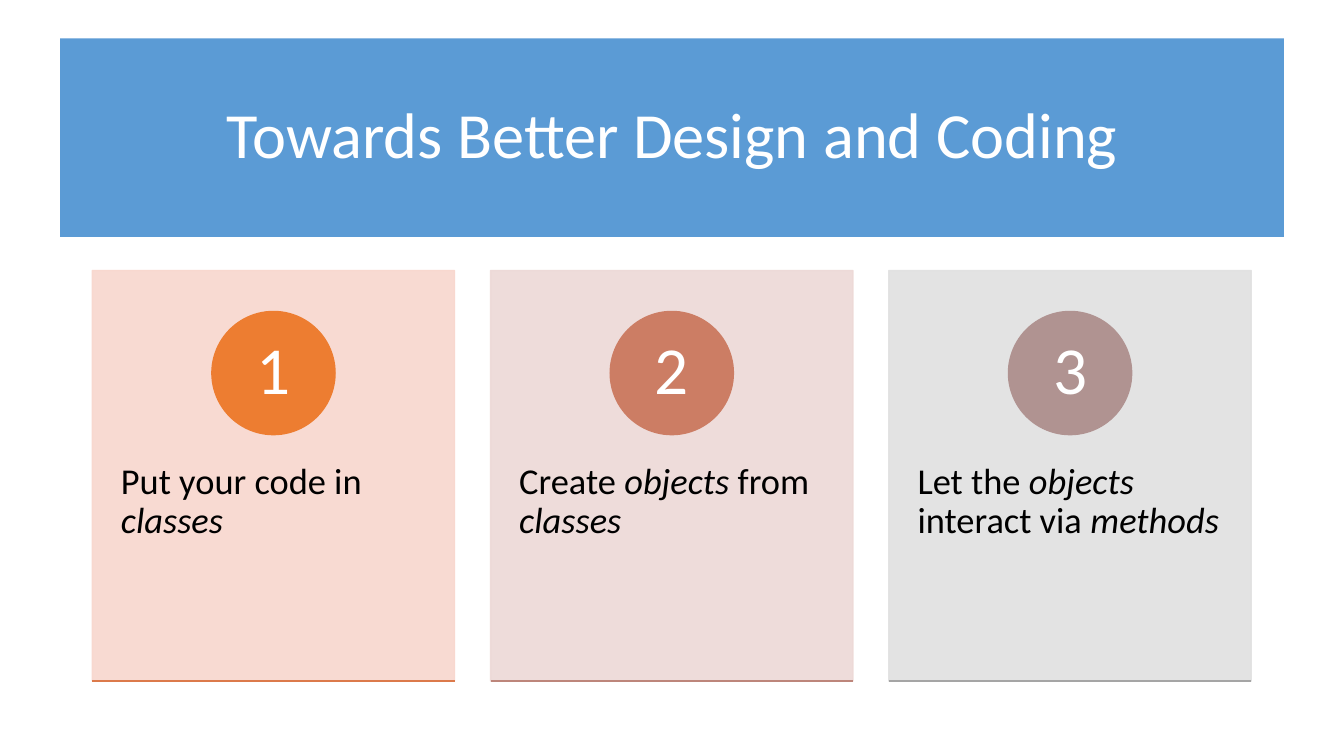
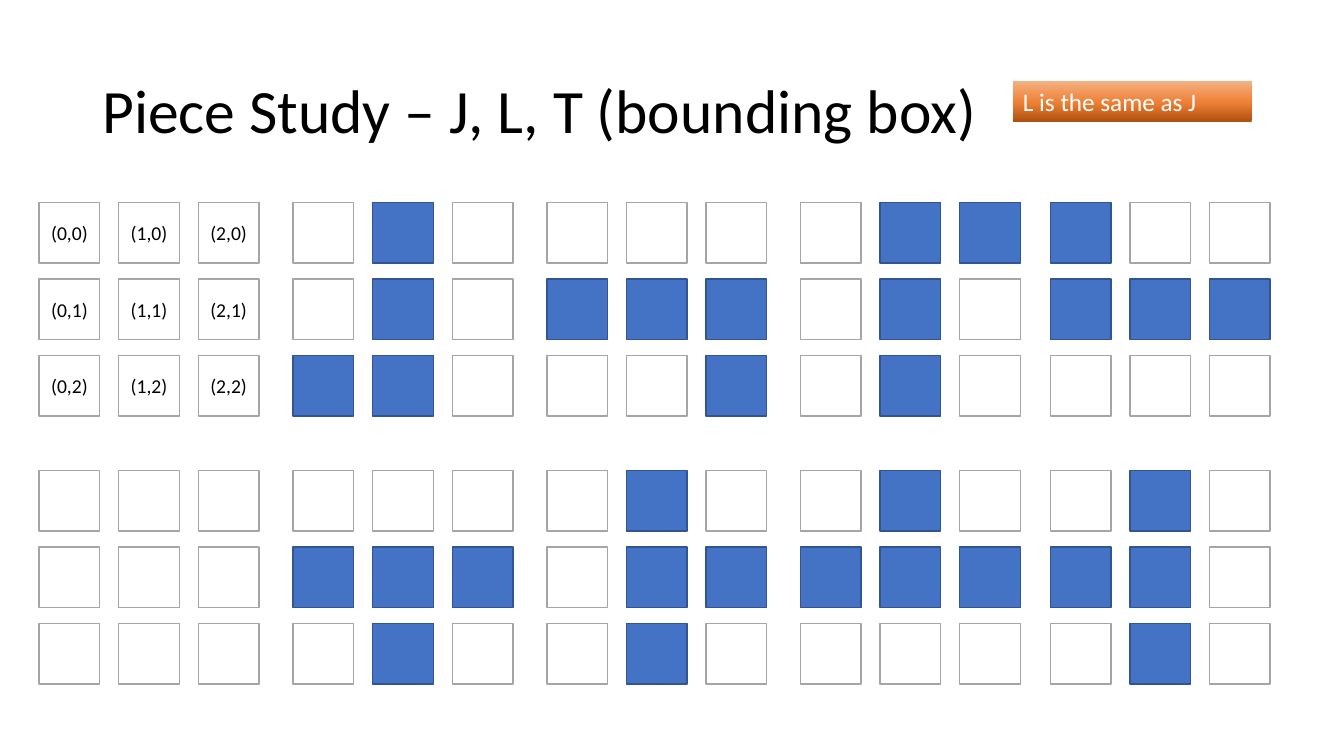
from copy import deepcopy
from dataclasses import dataclass
from typing import Any, NamedTuple

from lxml.etree import SubElement
from pptx import Presentation
from pptx.dml.color import RGBColor as Rgb
from pptx.enum.shapes import MSO_CONNECTOR as Connector, MSO_SHAPE as Preset
from pptx.enum.text import MSO_ANCHOR as Anchor, MSO_AUTO_SIZE as AutoSize, PP_ALIGN as Align
from pptx.oxml.ns import qn
from pptx.util import Pt


@dataclass(frozen=True)
class Theme:
    font: str = "Calibri"
    white: str = "FFFFFF"
    black: str = "000000"
    banner: str = "5B9BD5"
    cell_line: str = "A5A5A5"
    block: str = "4472C4"
    block_line: str = "325491"
    tag_stops: tuple = ((0, "B0500F"), (0.48, "EE8137"), (1, "F4B183"))
    banner_title_size: float = 46
    title_size: float = 44
    number_size: float = 48
    card_size: float = 26
    tag_size: float = 18
    cell_size: float = 14
    line_spacing: float = 0.9
    line_width: float = 1


THEME = Theme()


class Box(NamedTuple):
    left: float
    top: float
    width: float
    height: float

    def lengths(self) -> list:
        return [Pt(value) for value in self]


class Run(NamedTuple):
    text: str
    italic: bool = False


@dataclass(frozen=True)
class Card:
    runs: list
    panel: str
    circle: str
    rule: str


@dataclass(frozen=True)
class Piece:
    """Three rows of a bounding box; # marks a filled block."""
    column: int
    band: int
    rows: str
    labelled: bool = False


CARDS = [
    Card([Run("Put your code in "), Run("classes", True)], "F8D7CE", "ED7D31", "DC7A4B"),
    Card([Run("Create "), Run("objects", True), Run(" from "), Run("classes", True)],
         "EDD9D7", "CC7D64", "BD867B"),
    Card([Run("Let the "), Run("objects", True), Run(" interact via "), Run("methods", True)],
         "E1E1E1", "B09391", "A5A5A5"),
]

PIECES = [
    Piece(0, 0, "... ... ...", labelled=True),
    Piece(1, 0, ".#. .#. ##."),
    Piece(2, 0, "... ### ..#"),
    Piece(3, 0, ".## .#. .#."),
    Piece(4, 0, "#.. ### ..."),
    Piece(0, 1, "... ... ..."),
    Piece(1, 1, "... ### .#."),
    Piece(2, 1, ".#. .## .#."),
    Piece(3, 1, ".#. ### ..."),
    Piece(4, 1, ".#. ##. .#."),
]


# Shared helpers
def set_format(target: Any, values: dict) -> None:
    for name, value in values.items():
        setattr(target, name, value)


def write(shape: Any, runs: list, size: float, color: str, align: Any = Align.LEFT,
          anchor: Any = Anchor.MIDDLE, spacing: float = 1.0, inset: tuple = (7.2, 3.6)) -> None:
    across, down = map(Pt, inset)
    frame = shape.text_frame
    set_format(frame, {
        "word_wrap": True, "auto_size": AutoSize.NONE, "vertical_anchor": anchor,
        "margin_left": across, "margin_right": across, "margin_top": down, "margin_bottom": down,
    })
    paragraph = frame.paragraphs[0]
    set_format(paragraph, {"alignment": align, "line_spacing": spacing})
    for text, italic in runs:
        run = paragraph.add_run()
        run.text = text
        set_format(run.font, {"name": THEME.font, "size": Pt(size), "italic": italic})
        run.font.color.rgb = Rgb.from_string(color)


def add_title(slide: Any, text: str, box: Box, size: float, color: str, align: Any) -> None:
    title = slide.shapes.title
    set_format(title, dict(zip(("left", "top", "width", "height"), box.lengths())))
    write(title, [Run(text)], size, color, align, spacing=THEME.line_spacing)


def add_box(slide: Any, box: Box, fill: str, line: str | None = None,
            preset: Any = Preset.RECTANGLE) -> Any:
    shape = slide.shapes.add_shape(preset, *box.lengths())
    shape.shadow.inherit = False
    shape.fill.solid()
    shape.fill.fore_color.rgb = Rgb.from_string(fill)
    if line is None:
        shape.line.fill.background()
    else:
        shape.line.color.rgb = Rgb.from_string(line)
        shape.line.width = Pt(THEME.line_width)
    return shape


def set_opacity(shape: Any, percent: int) -> None:
    for color in shape.element.spPr.iter(qn("a:srgbClr")):
        SubElement(color, qn("a:alpha")).set("val", str(percent * 1000))


def add_rule(slide: Any, left: float, top: float, width: float, color: str) -> None:
    ends = [Pt(value) for value in (left, top, left + width, top)]
    rule = slide.shapes.add_connector(Connector.STRAIGHT, *ends)
    rule.line.color.rgb = Rgb.from_string(color)
    rule.line.width = Pt(THEME.line_width)
    SubElement(rule.element.spPr, qn("a:effectLst"))


# Slide 1: banner and three numbered cards
def add_card(slide: Any, card: Card, index: int) -> None:
    panel = Box(66 + index * 284.5, 193.2, 258.75, 293.3)
    diameter = 88
    set_opacity(add_box(slide, panel, card.panel, card.panel), 90)

    text_box = slide.shapes.add_textbox(*Box(panel.left, 304.6, panel.width, 176).lengths())
    write(text_box, card.runs, THEME.card_size, THEME.black, anchor=Anchor.TOP,
          spacing=THEME.line_spacing, inset=(20.4, 26))

    circle_left = panel.left + (panel.width - diameter) / 2
    circle = add_box(slide, Box(circle_left, 222.5, diameter, diameter),
                     card.circle, card.circle, Preset.OVAL)
    write(circle, [Run(str(index + 1))], THEME.number_size, THEME.white, Align.CENTER,
          spacing=THEME.line_spacing, inset=(0, 0))
    add_rule(slide, panel.left, panel.top + panel.height, panel.width, card.rule)


def build_design_slide(slide: Any) -> None:
    banner = add_box(slide, Box(43, 27.4, 874, 141.8), THEME.banner)
    slide.shapes.title.element.addprevious(banner.element)
    add_title(slide, "Towards Better Design and Coding", Box(66, 46, 828, 104.4),
              THEME.banner_title_size, THEME.white, Align.CENTER)
    for index, card in enumerate(CARDS):
        add_card(slide, card, index)


# Slide 2: grid of pieces in their bounding boxes
def add_piece(slide: Any, piece: Piece) -> None:
    left = (28, 209.4, 390.6, 571.8, 750.2)[piece.column]
    top = (144.6, 336)[piece.band]
    for y, row in enumerate(piece.rows.split()):
        for x, mark in enumerate(row):
            colors = ((THEME.block, THEME.block_line) if mark == "#"
                      else (THEME.white, THEME.cell_line))
            cell = add_box(slide, Box(left + x * 56.85, top + y * 54.7, 43.3, 43.3), *colors)
            if piece.labelled:
                write(cell, [Run(f"({x},{y})")], THEME.cell_size, THEME.black, Align.CENTER)


def add_tag(slide: Any, text: str) -> None:
    tag = add_box(slide, Box(723.6, 57.8, 170.4, 29.1), THEME.white)
    tag.fill.gradient()
    tag.fill.gradient_angle = 90
    stop_list = tag.element.spPr.find(".//" + qn("a:gsLst"))
    stop_list.append(deepcopy(stop_list[0]))
    for stop, (position, color) in zip(tag.fill.gradient_stops, THEME.tag_stops):
        stop.position = position
        stop.color.rgb = Rgb.from_string(color)
    write(tag, [Run(text)], THEME.tag_size, THEME.white, anchor=Anchor.TOP)


def build_piece_slide(slide: Any) -> None:
    add_title(slide, "Piece Study – J, L, T (bounding box)", Box(66, 28.8, 828, 104.4),
              THEME.title_size, THEME.black, Align.LEFT)
    for piece in PIECES:
        add_piece(slide, piece)
    add_tag(slide, "L is the same as J")


def main() -> None:
    presentation = Presentation()
    set_format(presentation, {"slide_width": Pt(960), "slide_height": Pt(540)})
    title_only = presentation.slide_layouts[5]
    for build in (build_design_slide, build_piece_slide):
        build(presentation.slides.add_slide(title_only))
    presentation.save("out.pptx")


if __name__ == "__main__":
    main()
